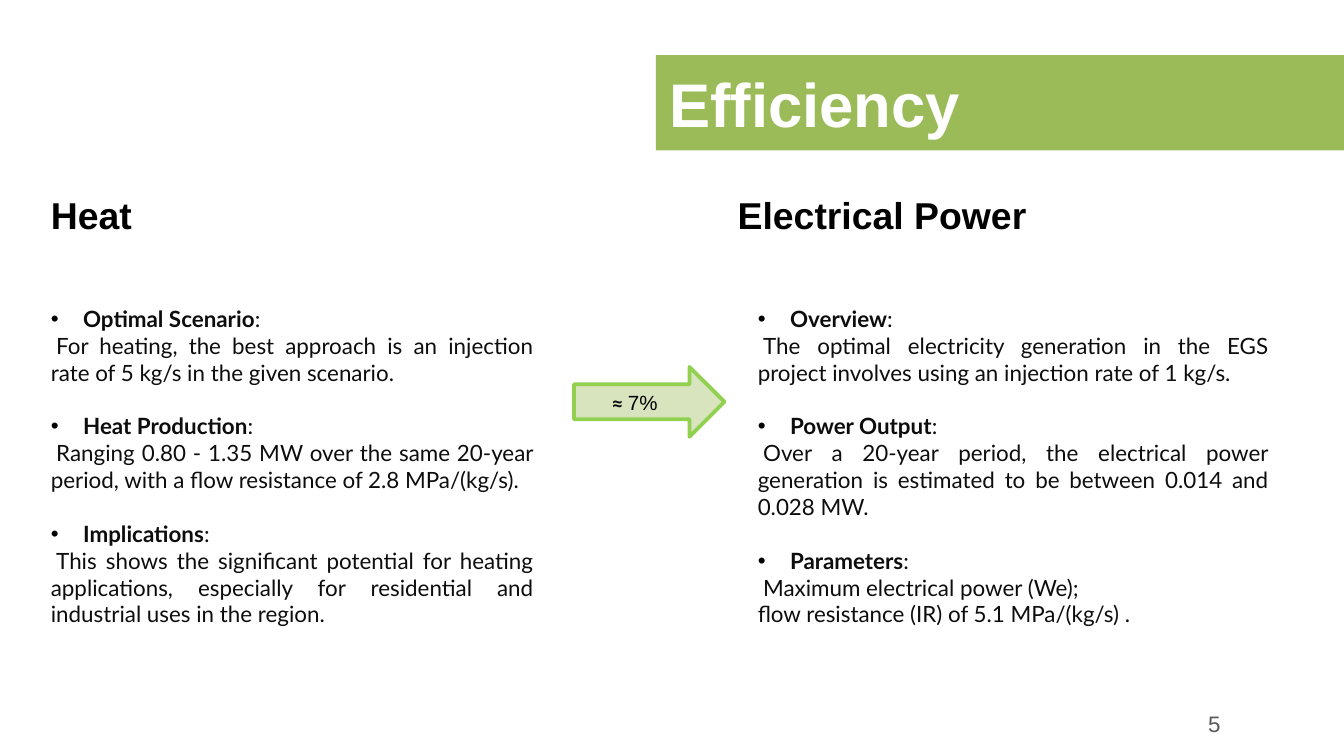
from dataclasses import dataclass

from lxml.etree import SubElement
from pptx import Presentation
from pptx.dml.color import RGBColor
from pptx.enum.shapes import MSO_SHAPE as Shape
from pptx.enum.text import MSO_ANCHOR as Anchor, PP_ALIGN as Align
from pptx.oxml.ns import qn
from pptx.util import Inches, Pt

BLACK = RGBColor(0x00, 0x00, 0x00)
WHITE = RGBColor(0xFF, 0xFF, 0xFF)
INK = RGBColor(0x0D, 0x0D, 0x0D)
SIGN_INK = RGBColor(0x0C, 0x0D, 0x0E)
GREY = RGBColor(0x59, 0x59, 0x59)
BANNER_GREEN = RGBColor(0x9B, 0xBB, 0x59)
ARROW_FILL = RGBColor(0xD7, 0xE4, 0xBD)
ARROW_LINE = RGBColor(0x92, 0xD0, 0x50)

# A 16:9 slide on a square grid, 100 columns wide
WIDTH = Inches(10)
HEIGHT = WIDTH * 9 // 16
CELL = WIDTH // 100
HEADING_ROW, BODY_ROW = 13.8, 22.2
BODY_SIZE, LINE_HEIGHT = 12, 14.4
BULLET_INDENT = Inches(0.24)
FIRST_LINE_INDENT = Inches(0.04)


@dataclass(frozen=True)
class Area:
    column: float
    row: float
    columns: float
    rows: float

    def lengths(self) -> list[int]:
        return [round(n * CELL) for n in (self.column, self.row, self.columns, self.rows)]


@dataclass(frozen=True)
class Topic:
    title: str
    lines: tuple[str, ...]


@dataclass(frozen=True)
class Panel:
    heading: str
    heading_column: float
    heading_columns: float
    body_column: float
    body_columns: float
    body_rows: float
    topics: tuple[Topic, ...]


PANELS = (
    Panel("Heat", 2.8, 12.1, 2.8, 37.9, 27.3, (
        Topic("Optimal Scenario", (
            "For heating, the best approach is an injection rate of 5 kg/s in the given scenario.",)),
        Topic("Heat Production", (
            "Ranging 0.80 - 1.35 MW over the same 20-year period, "
            "with a flow resistance of 2.8 MPa/(kg/s).",)),
        Topic("Implications", (
            "This shows the significant potential for heating applications, "
            "especially for residential and industrial uses in the region.",)),
    )),
    Panel("Electrical Power", 53.9, 25.1, 55.4, 40, 29.3, (
        Topic("Overview", (
            "The optimal electricity generation in the EGS project "
            "involves using an injection rate of 1 kg/s.",)),
        Topic("Power Output", (
            "Over a 20-year period, the electrical power generation "
            "is estimated to be between 0.014 and 0.028 MW.",)),
        Topic("Parameters", (
            "Maximum electrical power (We);",
            "flow resistance (IR) of 5.1 MPa/(kg/s) .")),
    )),
)


def style(font, size: float, color: RGBColor, bold: bool = False, name: str = "Arial") -> None:
    font.name, font.size, font.bold = name, Pt(size), bold
    font.color.rgb = color


def add_box(page, area: Area):
    box = page.shapes.add_textbox(*area.lengths())
    box.text_frame.word_wrap = True
    return box


def add_block(page, kind: Shape, area: Area, fill: RGBColor):
    block = page.shapes.add_shape(kind, *area.lengths())
    block.shadow.inherit = False
    block.fill.solid()
    block.fill.fore_color.rgb = fill
    block.line.fill.background()
    return block


def write_line(box, text: str, size: float, color: RGBColor, bold: bool = False,
               align: Align = Align.LEFT) -> None:
    para = box.text_frame.paragraphs[0]
    para.text, para.alignment = text, align
    style(para.font, size, color, bold)


def indent(para, margin: int, first_line: int):
    props = para._p.get_or_add_pPr()
    props.set("marL", str(margin))
    props.set("indent", str(first_line))
    return props


def add_bullet(para) -> None:
    props = indent(para, BULLET_INDENT, -BULLET_INDENT)
    color = SubElement(props, qn("a:buClr"))
    SubElement(color, qn("a:srgbClr"), val=str(BLACK))
    SubElement(props, qn("a:buFont"), typeface="Arial")
    SubElement(props, qn("a:buChar"), char="•")


def write_topics(box, topics: tuple[Topic, ...]) -> None:
    frame = box.text_frame
    for index, topic in enumerate(topics):
        title = frame.add_paragraph() if index else frame.paragraphs[0]
        add_bullet(title)
        if index:
            title.space_before = Pt(LINE_HEIGHT)
        for text, bold in ((topic.title, True), (":", False)):
            span = title.add_run()
            span.text, span.font.bold = text, bold
        for number, line in enumerate(topic.lines):
            para = frame.add_paragraph()
            para.text = line
            indent(para, 0, 0 if number else FIRST_LINE_INDENT)
    for para in frame.paragraphs:
        para.alignment = Align.JUSTIFY
        style(para.font, BODY_SIZE, INK, name="Lato")


def add_panel(page, panel: Panel) -> None:
    heading = add_box(page, Area(panel.heading_column, HEADING_ROW, panel.heading_columns, 4.4))
    write_line(heading, panel.heading, 20, BLACK, bold=True)
    body = add_box(page, Area(panel.body_column, BODY_ROW, panel.body_columns, panel.body_rows))
    write_topics(body, panel.topics)


def add_ratio_arrow(page) -> None:
    arrow = add_block(page, Shape.RIGHT_ARROW, Area(42.7, 27.3, 11.2, 5.2), ARROW_FILL)
    arrow.line.color.rgb = ARROW_LINE
    arrow.line.width = Pt(2)
    label = add_box(page, Area(44.5, 28.5, 8.4, 2.9))
    para = label.text_frame.paragraphs[0]
    sign, value = para.add_run(), para.add_run()
    sign.text, value.text = "≈ ", "7%"
    style(sign.font, 11, SIGN_INK, bold=True, name="Cambria")
    style(value.font, 11, BLACK)


def main() -> None:
    deck = Presentation()
    deck.slide_width, deck.slide_height = WIDTH, HEIGHT
    page = deck.slides.add_slide(deck.slide_layouts[6])

    # Title banner
    banner = add_block(page, Shape.RECTANGLE, Area(48.8, 4.1, 51.2, 7.1), BANNER_GREEN)
    banner.text_frame.vertical_anchor = Anchor.MIDDLE
    write_line(banner, "Efficiency", 33, WHITE, bold=True)

    # Two panels, joined by the ratio arrow
    for panel in PANELS:
        add_panel(page, panel)
    add_ratio_arrow(page)

    # Page number
    number = add_box(page, Area(71.8, 52.6, 20, 2.5))
    number.text_frame.vertical_anchor = Anchor.MIDDLE
    write_line(number, "5", 12, GREY, align=Align.RIGHT)

    deck.save("out.pptx")


if __name__ == "__main__":
    main()
